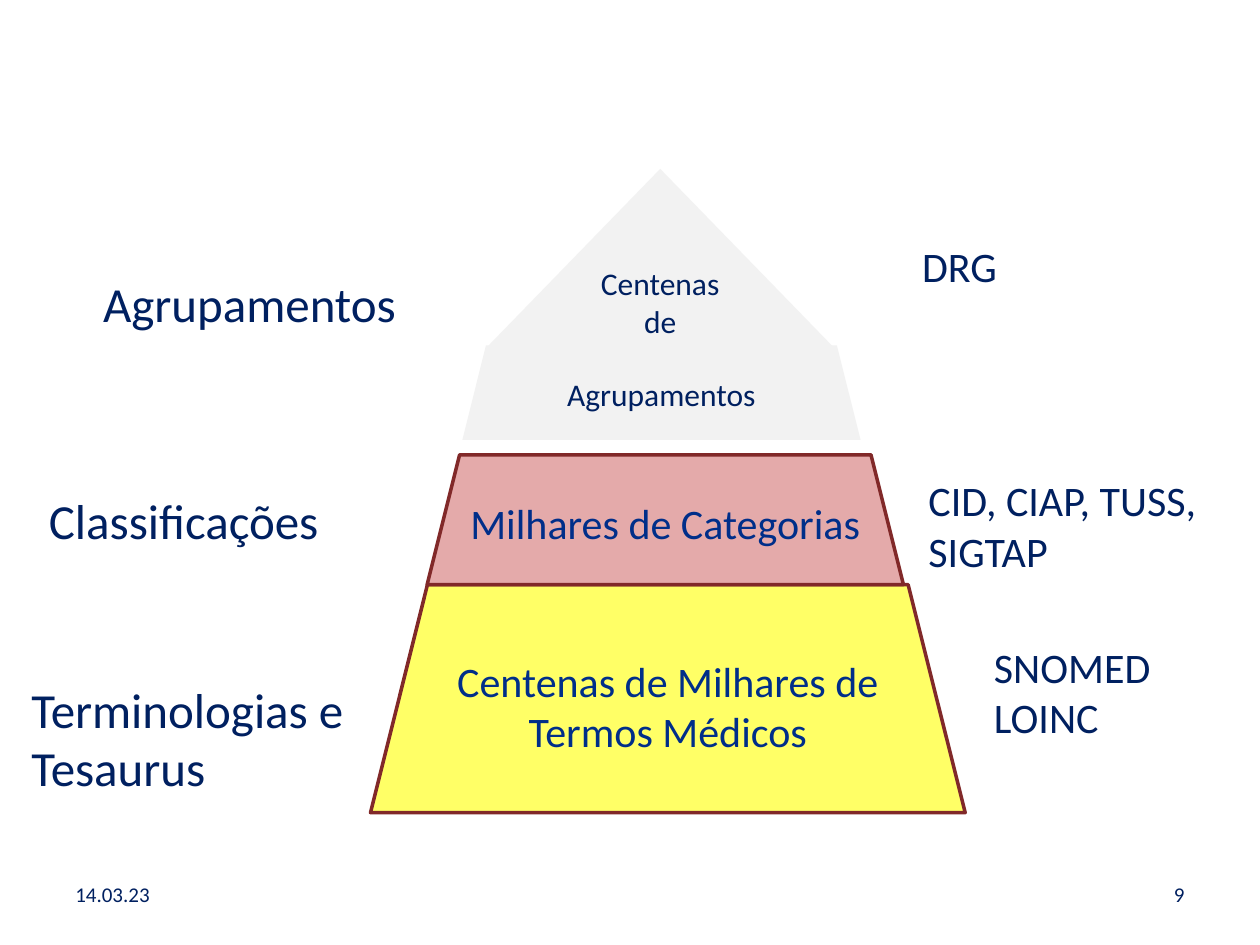
import pptx
import pptx.util
import pptx.dml.color
import pptx.enum.shapes
import pptx.enum.text

Inches = pptx.util.Inches
Shape = pptx.enum.shapes.MSO_SHAPE
Align = pptx.enum.text.PP_ALIGN
Anchor = pptx.enum.text.MSO_ANCHOR
Fit = pptx.enum.text.MSO_AUTO_SIZE

NAVY, BLUE, MAROON = "002060", "002E89", "812929"
GREY, PINK, YELLOW = "F2F2F2", "E4AAAA", "FFFF66"


def color(value):
    """Turn a hex string into a colour."""
    return pptx.dml.color.RGBColor.from_string(value)


def set_values(target, values):
    """Set each named attribute of the target."""
    for name, value in values.items():
        setattr(target, name, value)


def write(shape, lines, size, ink, align, frame_values):
    """Write one paragraph for each line into the shape."""
    frame = shape.text_frame
    set_values(frame, frame_values)
    for index, line in enumerate(lines):
        para = frame.add_paragraph() if index else frame.paragraphs[0]
        para.alignment = align
        span = para.add_run()
        span.text = line
        set_values(span.font, {"name": "Calibri", "size": pptx.util.Pt(size)})
        span.font.color.rgb = color(ink)


def place(box, left, top, width, height):
    """Give the lengths of a part placed relative to the box."""
    return [Inches(n) for n in (box[0] + left, box[1] + top, width, height)]


def add_label(page, position, lines, size, align=Align.LEFT, wrap=True, fit=Fit.SHAPE_TO_FIT_TEXT):
    """Add a navy text box."""
    label = page.shapes.add_textbox(*position)
    write(label, lines, size, NAVY, align, {"word_wrap": wrap, "auto_size": fit})


def add_pyramid(page, box):
    """Stack the pyramid levels from the base to the tip."""
    levels = [
        (Shape.TRAPEZOID, (0, 3.3, 4.72, 1.81), YELLOW, MAROON, "Centenas de Milhares de Termos Médicos", 24, BLUE),
        (Shape.TRAPEZOID, (0.45, 2.27, 3.78, 1.03), PINK, MAROON, "Milhares de Categorias", 24, BLUE),
        (Shape.TRAPEZOID, (0.73, 1.4, 3.16, 0.75), GREY, None, "Agrupamentos", 18, NAVY),
        (Shape.ISOSCELES_TRIANGLE, (0.93, 0, 2.74, 1.41), GREY, None, "Centenas de", 18, NAVY),
    ]
    for kind, spot, fill, edge, text, size, ink in levels:
        level = page.shapes.add_shape(kind, *place(box, *spot))
        level.shadow.inherit = False
        level.fill.solid()
        level.fill.fore_color.rgb = color(fill)
        if edge:
            level.line.color.rgb = color(edge)
            level.line.width = pptx.util.Pt(2)
        else:
            level.line.fill.background()
        write(level, [text], size, ink, Align.CENTER,
              {"word_wrap": True, "vertical_anchor": Anchor.MIDDLE})


def add_level_names(page, box):
    """Name each level on the left of the pyramid."""
    names = [
        ((0, 3.22, 2.7, 1.04), "Terminologias e Tesaurus", True),
        ((0.14, 1.72, 2.36, 0.57), "Classificações", False),
        ((0.57, 0, 2.55, 0.57), "Agrupamentos", False),
    ]
    for spot, text, wrap in names:
        add_label(page, place(box, *spot), [text], 28, wrap=wrap)


def add_examples(page, box):
    """List the standards of each level on the right of the pyramid."""
    examples = [
        ((0.57, 3.18, 1.45, 1.31), ["SNOMED", "LOINC"], False),
        ((0.05, 1.86, 2.39, 1.31), ["CID, CIAP, TUSS, SIGTAP"], True),
        ((0, 0, 0.8, 0.91), ["DRG"], False),
    ]
    for spot, lines, wrap in examples:
        add_label(page, place(box, *spot), lines, 24, wrap=wrap)


def add_footer(page, box):
    """Put the date on the left and the page number on the right."""
    width, height = 2.33, box[3]
    for left, text, align in ((0, "14.03.23", Align.LEFT), (box[2] - width, "9", Align.RIGHT)):
        add_label(page, place(box, left, 0, width, height), [text], 12, align, fit=Fit.NONE)


def main():
    """Build the slide and save it."""
    deck = pptx.Presentation()
    set_values(deck, {"slide_width": Inches(10), "slide_height": Inches(7.5)})
    page = deck.slides.add_slide(deck.slide_layouts[6])
    add_footer(page, (0.5, 6.95, 9, 0.4))
    add_pyramid(page, (2.94, 1.34, 4.72, 5.11))
    add_level_names(page, (0.15, 2.12, 3.12, 4.26))
    add_examples(page, (7.22, 1.86, 2.44, 4.49))
    deck.save("out.pptx")


if __name__ == "__main__":
    main()
